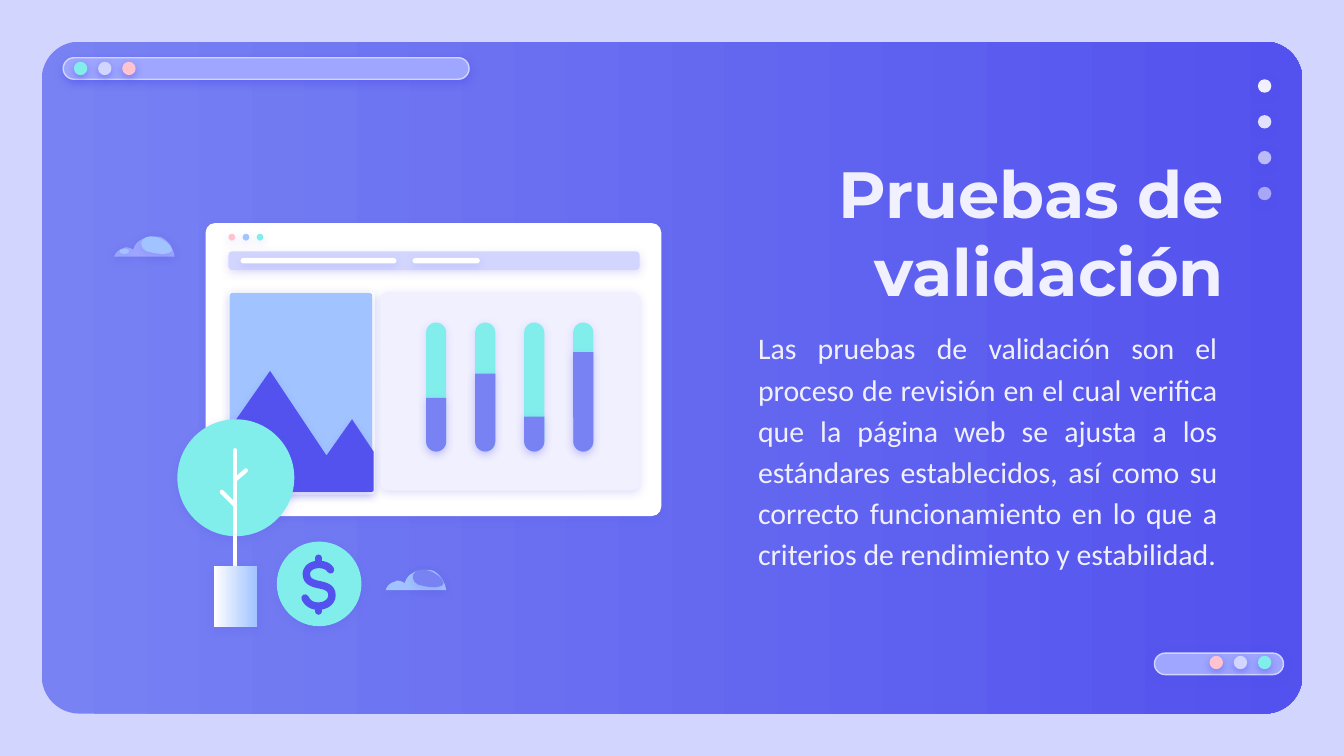
from lxml import etree
from pptx import Presentation
from pptx.dml.color import RGBColor
from pptx.enum import shapes, text
from pptx.oxml import ns
from pptx.util import Inches, Pt

# Content
TITLE = "Pruebas de validación"
BODY = ("Las pruebas de validación son el proceso de revisión en el cual verifica que la "
        "página web se ajusta a los estándares establecidos, así como su correcto "
        "funcionamiento en lo que a criterios de rendimiento y estabilidad.")

INDIGO, VIOLET, LILAC, PALE = "5352EE", "7882F3", "9EA6FF", "D2D6FF"
MINT, PINK, SKY, MIST, WHITE = "81EEEB", "FFC3D0", "A1C3FF", "F1F0FF", "FFFFFF"

PILLS = [  # box, left of first dot, top of dots, dot colours
    ((0.47, 0.43, 3.02, 0.16), 0.55, 0.46, (MINT, PALE, PINK)),
    ((8.59, 4.86, 0.96, 0.16), 9.0, 4.88, (PINK, PALE, MINT)),
]
SIDE_DOTS = (100, 90, 67, 54)    # opacity in percent
WINDOW_DOTS = (PINK, SKY, MINT)
BAR_LEVELS = (2.96, 2.78, 3.1, 2.62)    # top of the filled part of each bar

# Outlines: a start point, then line ends (x, y) or Bézier curves (six numbers)
MOUNTAINS = [(2.01, 2.76), (1.71, 3.19), (1.71, 3.65), (1.71, 3.66, 1.72, 3.66, 1.73, 3.66),
             (2.76, 3.66), (2.77, 3.66, 2.78, 3.66, 2.78, 3.65), (2.78, 3.36),
             (2.62, 3.12), (2.43, 3.39)]
CLOUD = [(1.14, 1.76), (1.1, 1.76, 1.07, 1.77, 1.04, 1.79), (1.02, 1.8, 1, 1.83, 0.99, 1.86),
         (0.98, 1.85, 0.96, 1.84, 0.93, 1.84), (0.93, 1.84, 0.92, 1.85, 0.91, 1.85),
         (0.88, 1.86, 0.86, 1.88, 0.85, 1.91), (1.3, 1.91),
         (1.29, 1.85, 1.26, 1.8, 1.21, 1.77), (1.19, 1.76, 1.16, 1.76, 1.14, 1.76)]
CLOUD_SPOT = [(1.13, 1.76), (1.11, 1.76, 1.08, 1.76, 1.06, 1.79),
              (1.05, 1.8, 1.05, 1.82, 1.06, 1.84), (1.06, 1.85, 1.08, 1.86, 1.09, 1.87),
              (1.13, 1.88, 1.17, 1.89, 1.21, 1.89), (1.24, 1.89, 1.28, 1.88, 1.28, 1.86),
              (1.28, 1.85, 1.27, 1.84, 1.27, 1.83), (1.23, 1.79, 1.18, 1.76, 1.13, 1.76)]
DOLLAR = [(2.46, 4.24), (2.44, 4.21, 2.41, 4.2, 2.37, 4.2),
          (2.32, 4.2, 2.28, 4.23, 2.28, 4.27), (2.28, 4.33, 2.33, 4.34, 2.37, 4.35),
          (2.42, 4.36, 2.47, 4.37, 2.47, 4.43), (2.47, 4.48, 2.42, 4.51, 2.37, 4.51),
          (2.32, 4.51, 2.29, 4.49, 2.27, 4.45)]
DOLLAR_TICKS = [(2.37, 4.15, 2.37, 4.2), (2.37, 4.51, 2.37, 4.55)]
TREE = [(1.75, 3.35, 1.75, 4.27), (1.65, 3.66, 1.75, 3.76), (1.83, 3.5, 1.75, 3.57)]

prs = Presentation()
prs.slide_width = Inches(10)
prs.slide_height = prs.slide_width * 9 // 16
s = prs.slides.add_slide(prs.slide_layouts[0])


def rgb(value):
    return RGBColor.from_string(value)


def effects(sp, opacity=0):
    """Soft indigo shadow, or none when opacity is 0."""
    lst = etree.SubElement(sp._element.spPr, ns.qn("a:effectLst"))
    if opacity:
        shadow = etree.SubElement(lst, ns.qn("a:outerShdw"), blurRad=str(Pt(4.5)),
                                  dist=str(Pt(1.5)), dir="5400000", algn="bl", rotWithShape="0")
        clr = etree.SubElement(shadow, ns.qn("a:srgbClr"), val=INDIGO)
        etree.SubElement(clr, ns.qn("a:alpha"), val=str(opacity * 1000))


def paint(sp, color, shadow=17, line=None, alpha=100):
    """Fill with one colour, or left to right with a pair of colours."""
    if isinstance(color, tuple):
        sp.fill.gradient()
        sp.fill.gradient_angle = 0
        for stop, c, pos in zip(sp.fill.gradient_stops, color, (0, 1)):
            stop.color.rgb, stop.position = rgb(c), pos
    else:
        sp.fill.solid()
        sp.fill.fore_color.rgb = rgb(color)
    if alpha < 100:
        clr = sp._element.spPr.find(".//" + ns.qn("a:srgbClr"))
        etree.SubElement(clr, ns.qn("a:alpha"), val=str(alpha * 1000))
    if line:
        sp.line.color.rgb, sp.line.width = rgb(line), Pt(0.75)
    else:
        sp.line.fill.background()
    effects(sp, shadow)


def preset(kind, box, color, adj=(), **look):
    sp = s.shapes.add_shape(kind, *map(Inches, box))
    for i, value in enumerate(adj):
        sp.adjustments[i] = value
    paint(sp, color, **look)
    return sp


def oval(x, y, w, color, h=None, **look):
    return preset(shapes.MSO_SHAPE.OVAL, (x, y, w, h or w), color, **look)


def rounded(box, color, radius, **look):
    return preset(shapes.MSO_SHAPE.ROUNDED_RECTANGLE, box, color,
                  [min(0.5, radius / min(box[2:]))], **look)


def outline(steps, dx=0, dy=0, close=True, n=8):
    """Freeform through the steps, with each curve cut into n pieces."""
    pts = [steps[0]]
    for step in steps[1:]:
        if len(step) == 2:
            pts.append(step)
            continue
        ctrl = [pts[-1], step[:2], step[2:4], step[4:]]
        for t in (i / n for i in range(1, n + 1)):
            weights = ((1 - t) ** 3, 3 * t * (1 - t) ** 2, 3 * t * t * (1 - t), t ** 3)
            pts.append(tuple(sum(w * p[k] for w, p in zip(weights, ctrl)) for k in (0, 1)))
    pts = [(Inches(x + dx), Inches(y + dy)) for x, y in pts]
    fb = s.shapes.build_freeform(*pts[0], scale=1.0)
    fb.add_line_segments(pts[1:], close=close)
    return fb.convert_to_shape()


def stroke(sp, color, width):
    sp.line.color.rgb, sp.line.width = rgb(color), Pt(width)
    sp.line._get_or_add_ln().set("cap", "rnd")
    effects(sp)


def lines(ends, color, width):
    for end in ends:
        c = s.shapes.add_connector(shapes.MSO_CONNECTOR.STRAIGHT, *map(Inches, end))
        stroke(c, color, width)


def write(ph, box, words, font, size, align, anchor, bold=False):
    ph.left, ph.top, ph.width, ph.height = map(Inches, box)
    tf = ph.text_frame
    tf.word_wrap, tf.auto_size, tf.vertical_anchor = True, text.MSO_AUTO_SIZE.NONE, anchor
    tf.margin_left = tf.margin_right = tf.margin_top = tf.margin_bottom = Inches(0.1)
    p = tf.paragraphs[0]
    p.alignment, p.space_before = align, Pt(0)
    r = p.add_run()
    r.text = words
    r.font.name, r.font.size, r.font.bold = font, Pt(size), bold
    r.font.color.rgb = rgb(MIST)
    s.shapes._spTree.append(ph._element)    # bring in front of the panel
    return tf


# Background panel, pills and side dots
s.background.fill.solid()
s.background.fill.fore_color.rgb = rgb(PALE)
rounded((0.31, 0.31, 9.38, 5), (VIOLET, INDIGO), 0.28, shadow=0)
for box, left, top, colors in PILLS:
    rounded(box, LILAC, 0.08, line=PALE, shadow=50)
    for i, color in enumerate(colors):
        oval(left + i * 0.18, top, 0.1, color, shadow=50)
for i, alpha in enumerate(SIDE_DOTS):
    oval(9.36, 0.59 + i * 0.8 / 3, 0.1, MIST, alpha=alpha, shadow=50)

# Title and text
write(s.shapes.title, (5.48, 1.04, 3.73, 0.63), TITLE, "Montserrat", 35,
      text.PP_ALIGN.RIGHT, text.MSO_ANCHOR.TOP, bold=True)
tf = write(s.placeholders[1], (5.54, 2.8, 3.62, 1.33), BODY, "Calibri", 16,
           text.PP_ALIGN.JUSTIFY, text.MSO_ANCHOR.MIDDLE)
tf.paragraphs[0].line_spacing = 1.15
tf.margin_bottom = Inches(0.36)

# Browser window
rounded((1.53, 1.66, 3.39, 2.18), WHITE, 0.07)
for i, color in enumerate(WINDOW_DOTS):
    oval(1.7 + i * 0.105, 1.74, 0.05, color)
rounded((1.7, 1.87, 3.06, 0.14), PALE, 0.03)
for left, width in ((1.79, 1.16), (3.07, 0.5)):
    rounded((left, 1.92, width, 0.04), WHITE, 0.02)
rounded((1.7, 2.17, 1.09, 1.51), WHITE, 0.03)
rounded((1.71, 2.18, 1.06, 1.48), SKY, 0.02)
paint(outline(MOUNTAINS), INDIGO)

# Gauge bars
rounded((2.83, 2.17, 1.93, 1.48), MIST, 0.06)
for i, level in enumerate(BAR_LEVELS):
    left = 3.17 + i * 0.365
    rounded((left, 2.4, 0.15, 0.96), MINT, 0.08)
    sp = preset(shapes.MSO_SHAPE.ROUND_2_SAME_RECTANGLE, (left, level, 0.15, 3.36 - level),
                VIOLET, (0.5, 0))
    sp.rotation = 180

# Clouds
for dx, dy, color, spot in ((0, 0, LILAC, SKY), (2.02, 2.48, SKY, VIOLET)):
    paint(outline(CLOUD, dx, dy), color)
    paint(outline(CLOUD_SPOT, dx, dy), spot)
oval(0.89, 1.85, 0.07, SKY, h=0.04)

# Tree and coin
oval(1.32, 3.12, 0.87, MINT)
lines(TREE, WHITE, 2.25)
preset(shapes.MSO_SHAPE.RECTANGLE, (1.59, 4.21, 0.32, 0.46), (WHITE, SKY))
oval(2.06, 4.03, 0.63, MINT)
sign = outline(DOLLAR, close=False)
sign.fill.background()
stroke(sign, INDIGO, 4)
lines(DOLLAR_TICKS, INDIGO, 3.5)

prs.save("out.pptx")
